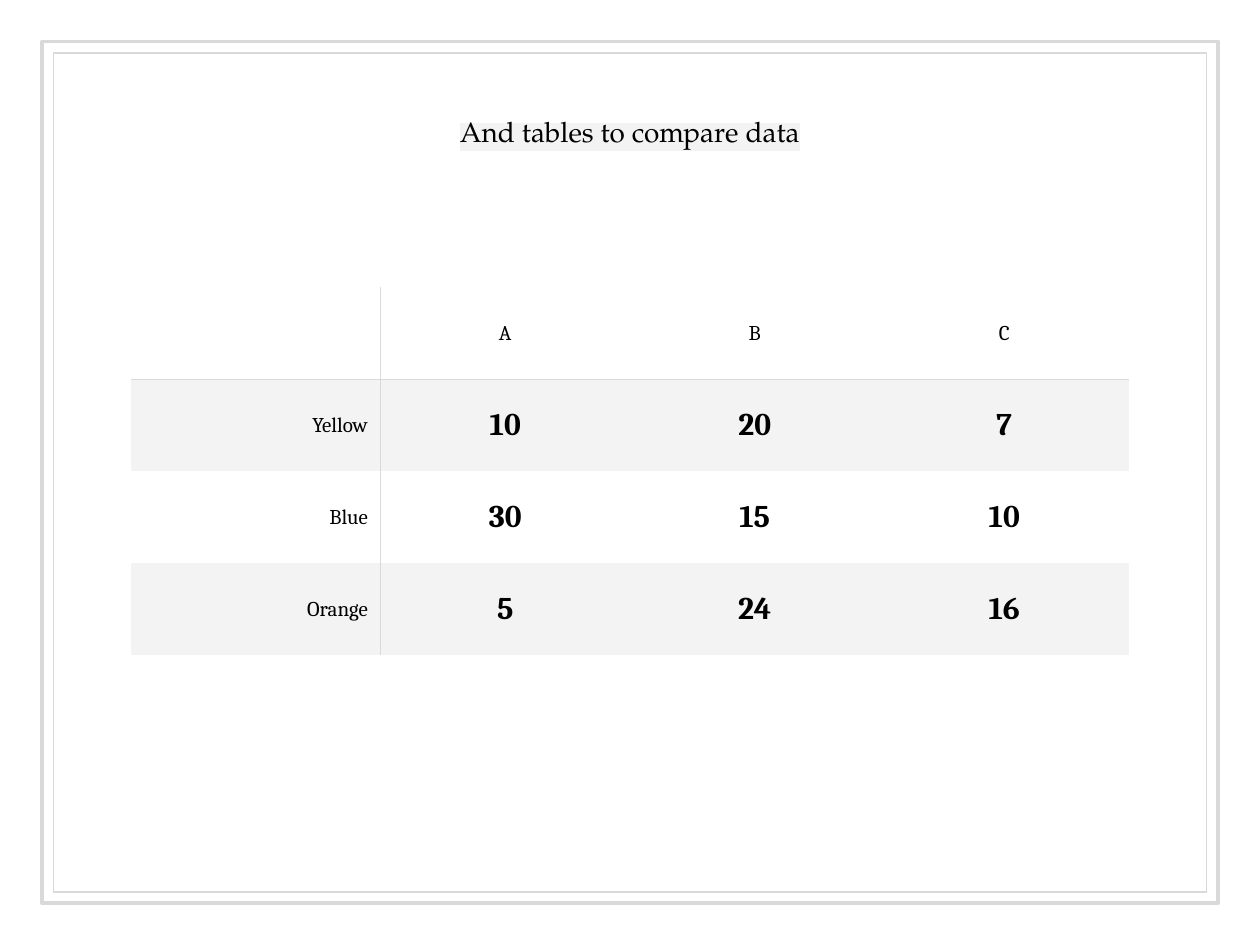
from dataclasses import dataclass

from lxml.etree import SubElement
from pptx import Presentation
from pptx.dml.color import RGBColor
from pptx.enum.shapes import MSO_SHAPE as Preset
from pptx.enum.text import MSO_ANCHOR as Anchor, MSO_AUTO_SIZE as AutoSize, PP_ALIGN as Align
from pptx.oxml.ns import qn
from pptx.util import Inches, Pt

SLIDE_WIDTH, SLIDE_HEIGHT = Inches(10), Inches(7.5)
COLUMN_WIDTH, ROW_HEIGHT = Inches(1.98), Inches(0.73)
TABLE_TOP = Inches(2.28)
INSET = Inches(0.1)
RULE_WIDTH = Pt(0.75)

BLACK = RGBColor(0x00, 0x00, 0x00)
WHITE = RGBColor(0xFF, 0xFF, 0xFF)
PALE_GRAY = RGBColor(0xF3, 0xF3, 0xF3)
RULE_GRAY = RGBColor(0xD9, 0xD9, 0xD9)
TITLE_FONT, TABLE_FONT = "TeX Gyre Pagella", "Cambria"

TABLE_ROWS = [
    ["", "A", "B", "C"],
    ["Yellow", "10", "20", "7"],
    ["Blue", "30", "15", "10"],
    ["Orange", "5", "24", "16"],
]


@dataclass(frozen=True)
class Frame:
    """A centred border; width and height are shares of the slide's size."""
    width: float
    height: float
    line_width: float


@dataclass(frozen=True)
class TextStyle:
    font: str
    size: float
    bold: bool = False
    align: Align = Align.CENTER


FRAMES = [Frame(0.915, 0.888, 0.75), Frame(0.933, 0.912, 2.25)]
TITLE_STYLE = TextStyle(TITLE_FONT, 16)
HEADER_STYLE = TextStyle(TABLE_FONT, 12)
LABEL_STYLE = TextStyle(TABLE_FONT, 12, align=Align.RIGHT)
VALUE_STYLE = TextStyle(TABLE_FONT, 18, bold=True)


def add_text(text_frame, text: str, style: TextStyle):
    paragraph = text_frame.paragraphs[0]
    paragraph.alignment = style.align
    run = paragraph.add_run()
    run.text = text
    run.font.size = Pt(style.size)
    run.font.bold = style.bold
    run.font.color.rgb = BLACK
    run.font.name = style.font
    return run


def set_insets(target) -> None:
    target.margin_left = target.margin_right = INSET
    target.margin_top = target.margin_bottom = INSET
    target.vertical_anchor = Anchor.MIDDLE


def add_frame(slide, frame: Frame) -> None:
    width, height = int(SLIDE_WIDTH * frame.width), int(SLIDE_HEIGHT * frame.height)
    shape = slide.shapes.add_shape(
        Preset.RECTANGLE, (SLIDE_WIDTH - width) // 2, (SLIDE_HEIGHT - height) // 2, width, height)
    shape.shadow.inherit = False
    shape.fill.background()
    shape.line.color.rgb = RULE_GRAY
    shape.line.width = Pt(frame.line_width)


def add_title(slide, text: str) -> None:
    title = slide.shapes.title
    title.left, title.top = Inches(0.5), Inches(0.49)
    title.width, title.height = Inches(9), Inches(1.11)
    title.text_frame.word_wrap = True
    title.text_frame.auto_size = AutoSize.NONE
    set_insets(title.text_frame)
    run = add_text(title.text_frame, text, TITLE_STYLE)
    latin = run.font._element.find(qn("a:latin"))
    highlight = latin.makeelement(qn("a:highlight"))
    SubElement(highlight, qn("a:srgbClr"), val=str(PALE_GRAY))
    latin.addprevious(highlight)
    # The title stands in front of the frames.
    title.element.getparent().append(title.element)


def set_borders(cell, ruled_sides: set[str]) -> None:
    """Rule the named sides (L, R, T, B) and clear the others."""
    properties = cell._tc.get_or_add_tcPr()
    for position, side in enumerate("LRTB"):
        line = properties.makeelement(qn(f"a:ln{side}"), w=str(RULE_WIDTH))
        if side in ruled_sides:
            fill = SubElement(line, qn("a:solidFill"))
            SubElement(fill, qn("a:srgbClr"), val=str(RULE_GRAY))
        else:
            SubElement(line, qn("a:noFill"))
        properties.insert(position, line)


def format_cell(cell, row: int, column: int, text: str) -> None:
    set_insets(cell)
    if text:
        style = HEADER_STYLE if row == 0 else LABEL_STYLE if column == 0 else VALUE_STYLE
        add_text(cell.text_frame, text, style)
    if row == 0:
        cell.fill.background()
    else:
        cell.fill.solid()
        cell.fill.fore_color.rgb = PALE_GRAY if row % 2 else WHITE
    # One rule runs below the header row, one to the right of the labels.
    rules = {"R": column == 0, "L": column == 1, "B": row == 0, "T": row == 1}
    set_borders(cell, {side for side, ruled in rules.items() if ruled})


def add_data_table(slide, rows: list[list[str]]) -> None:
    width, height = COLUMN_WIDTH * len(rows[0]), ROW_HEIGHT * len(rows)
    table = slide.shapes.add_table(
        len(rows), len(rows[0]), (SLIDE_WIDTH - width) // 2, TABLE_TOP, width, height).table
    table.first_row = table.horz_banding = False
    for row, texts in enumerate(rows):
        for column, text in enumerate(texts):
            format_cell(table.cell(row, column), row, column, text)


def main() -> None:
    presentation = Presentation()
    presentation.slide_width, presentation.slide_height = SLIDE_WIDTH, SLIDE_HEIGHT
    slide = presentation.slides.add_slide(presentation.slide_layouts[5])
    slide.background.fill.solid()
    slide.background.fill.fore_color.rgb = WHITE
    for frame in FRAMES:
        add_frame(slide, frame)
    add_title(slide, "And tables to compare data")
    add_data_table(slide, TABLE_ROWS)
    presentation.save("out.pptx")


if __name__ == "__main__":
    main()
